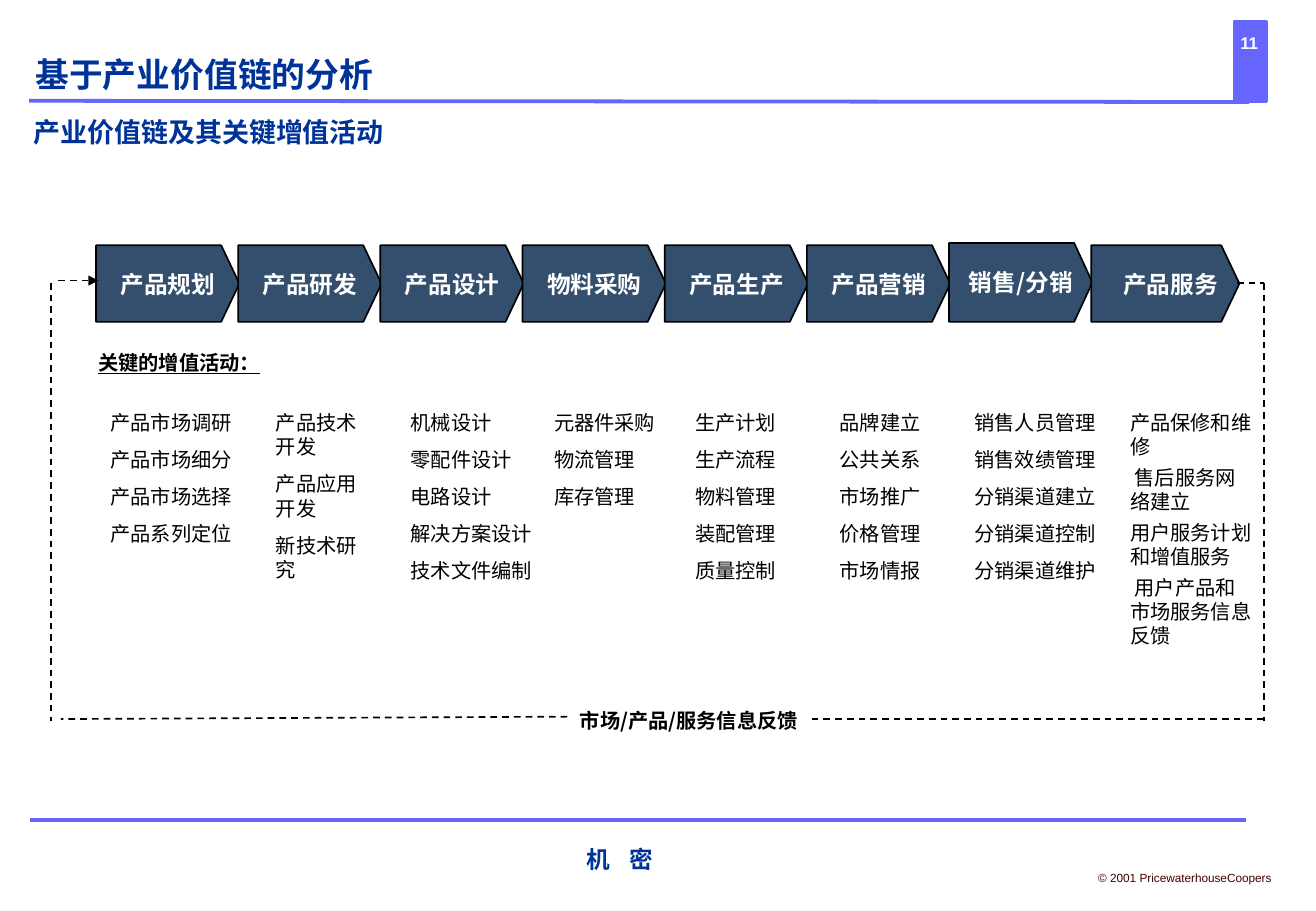
"""Build the industry value chain slide with its key value-adding activities."""
from lxml import etree
from pptx import Presentation
from pptx.dml.color import RGBColor
from pptx.enum.dml import MSO_LINE
from pptx.enum.shapes import MSO_CONNECTOR, MSO_SHAPE
from pptx.enum.text import MSO_ANCHOR, PP_ALIGN
from pptx.oxml.ns import qn
from pptx.util import Inches, Pt

LEFT, CENTER = PP_ALIGN.LEFT, PP_ALIGN.CENTER
TOP, MIDDLE, BOTTOM = MSO_ANCHOR.TOP, MSO_ANCHOR.MIDDLE, MSO_ANCHOR.BOTTOM
RECT, PENTAGON = MSO_SHAPE.RECTANGLE, MSO_SHAPE.PENTAGON
STRAIGHT, DASH = MSO_CONNECTOR.STRAIGHT, MSO_LINE.DASH

COLORS = {"accent": "6666FF", "title": "003399", "stage": "334F6D",
          "ink": "000000", "paper": "FFFFFF", "copyright": "440000"}
CJK, LATIN = "Noto Sans CJK SC", "Arial"

TITLE = "基于产业价值链的分析"
SUBTITLE = "产业价值链及其关键增值活动"
HEADING = "关键的增值活动："
FEEDBACK = "市场/产品/服务信息反馈"
CONFIDENTIAL = "机 密"
COPYRIGHT = "© 2001 PricewaterhouseCoopers"
PAGE = "11"

# name, activities, offset of the list from its stage, list width
STAGES = [
    ("产品规划", ["产品市场调研", "产品市场细分", "产品市场选择", "产品系列定位"], -0.09, 1.72),
    ("产品研发", ["产品技术开发", "产品应用开发", "新技术研究"], 0.1, 1.09),
    ("产品设计", ["机械设计", "零配件设计", "电路设计", "解决方案设计", "技术文件编制"], 0.04, 1.43),
    ("物料采购", ["元器件采购", "物流管理", "库存管理"], 0.05, 1.24),
    ("产品生产", ["生产计划", "生产流程", "物料管理", "装配管理", "质量控制"], 0.04, 1.05),
    ("产品营销", ["品牌建立", "公共关系", "市场推广", "价格管理", "市场情报"], 0.06, 1.3),
    ("销售/分销", ["销售人员管理", "销售效绩管理", "分销渠道建立", "分销渠道控制", "分销渠道维护"], 0, 1.6),
    ("产品服务", ["产品保修和维修", " 售后服务网络建立", "用户服务计划和增值服务",
              " 用户产品和市场服务信息反馈"], 0.12, 1.3),
]
CHAIN_X, CHAIN_Y, PITCH = 0.79, 2.02, 1.17
STAGE_W, STAGE_H, POINT = 1.18, 0.63, 0.15
LIST_Y, LIST_H = 3.33, 1.52
LOOP_L, LOOP_R, LOOP_T, LOOP_B = 0.42, 10.4, 2.33, 5.92

# start x, start y, end x, end y, arrow at the end
LOOP = [
    (10.18, LOOP_T, LOOP_R, LOOP_T, False),
    (LOOP_R, LOOP_T, LOOP_R, LOOP_B + 0.02, False),
    (4.67, LOOP_B - 0.02, 0.5, LOOP_B, False),
    (0.48, LOOP_T - 0.02, CHAIN_X + 0.02, LOOP_T - 0.02, True),
    (LOOP_L, LOOP_T, LOOP_L, LOOP_B + 0.02, False),
    (LOOP_R, LOOP_B, 6.66, LOOP_B, False),
]


def rgb(name):
    return RGBColor.from_string(COLORS[name])


def write(sp, lines, size, color, font=CJK, bold=True, align=LEFT, anchor=MIDDLE,
          insets=(0, 0, 0, 0), wrap=True, gap=0, underline=False):
    tf = sp.text_frame
    tf.word_wrap, tf.vertical_anchor = wrap, anchor
    tf.margin_left, tf.margin_top, tf.margin_right, tf.margin_bottom = map(Inches, insets)
    for i, line in enumerate(lines):
        p = tf.paragraphs[0] if i == 0 else tf.add_paragraph()
        p.add_run().text = line
        p.alignment = align
        if i:
            p.space_before = Pt(gap)
        p.font.size, p.font.bold, p.font.name = Pt(size), bold, font
        p.font.color.rgb = rgb(color)
        if underline:
            p.font.underline = True
        latin = p._p.pPr.find(qn("a:defRPr")).find(qn("a:latin"))
        east = etree.Element(qn("a:ea"), typeface=font)
        latin.addnext(east)
    return tf


def text(slide, box, lines, size, color, **style):
    sp = slide.shapes.add_textbox(*map(Inches, box))
    return write(sp, lines, size, color, **style)


def shape(slide, kind, box, fill, line, width):
    sp = slide.shapes.add_shape(kind, *map(Inches, box))
    sp.shadow.inherit = False
    sp.fill.solid()
    sp.fill.fore_color.rgb = rgb(fill)
    sp.line.color.rgb, sp.line.width = rgb(line), Pt(width)
    return sp


def rule(slide, ends, color, width, dashed=False, arrow=False):
    cx = slide.shapes.add_connector(STRAIGHT, *map(Inches, ends))
    cx.line.color.rgb, cx.line.width = rgb(color), Pt(width)
    if dashed:
        cx.line.dash_style = DASH
    if arrow:
        etree.SubElement(cx.line._get_or_add_ln(), qn("a:tailEnd"), type="triangle")
    etree.SubElement(cx._element.spPr, qn("a:effectLst"))


def draw_frame(slide):
    shape(slide, RECT, (10.16, 0.18, 0.26, 0.65), "accent", "accent", 2.25)
    rule(slide, (0.24, 0.83, 10.28, 0.84), "accent", 2.25)
    rule(slide, (0.25, 6.75, 10.25, 6.75), "accent", 2.25)
    text(slide, (9.93, 0.25, 0.7, 0.2), [PAGE], 10, "paper", font=LATIN, align=CENTER)
    text(slide, (8.94, 7.12, 1.62, 0.22), [COPYRIGHT], 7, "copyright", font=LATIN,
         bold=False, align=CENTER, wrap=False)
    tf = text(slide, (4.74, 6.9, 0.72, 0.34), [CONFIDENTIAL], 14, "title", font=LATIN,
              align=CENTER, wrap=False)
    tf.paragraphs[0].runs[0]._r.get_or_add_rPr().set("spc", "390")
    text(slide, (0.29, 0.18, 9.71, 0.6), [TITLE], 20, "title", anchor=BOTTOM)
    text(slide, (0.28, 0.75, 10.03, 0.47), [SUBTITLE], 16, "title", anchor=BOTTOM)


def draw_chain(slide):
    for i, (name, activities, offset, width) in enumerate(STAGES):
        x = CHAIN_X + PITCH * i
        last = i == len(STAGES) - 1
        rise = 0.02 if "/" in name else 0
        box = (x, CHAIN_Y - rise, STAGE_W + 0.04 * last, STAGE_H + rise)
        sp = shape(slide, PENTAGON, box, "stage", "ink", 1)
        sp.adjustments[0] = POINT / (STAGE_H + rise)
        write(sp, [name], 14, "paper", align=CENTER, wrap=False,
              insets=(0.18 if last else 0.1, 0.05, 0.02, 0.05))
        text(slide, (x + offset, LIST_Y, width, LIST_H), activities, 12, "ink", bold=False,
             anchor=TOP, insets=(0.2 if last else 0.21, 0.05, 0.1, 0.05),
             gap=3.7 if last else 7.5)


def main():
    prs = Presentation()
    prs.slide_width, prs.slide_height = Inches(10.83), Inches(7.5)
    slide = prs.slides.add_slide(prs.slide_layouts[6])
    draw_frame(slide)
    label = shape(slide, RECT, (4.59, 5.79, 2.16, 0.28), "paper", "paper", 1)
    write(label, [FEEDBACK], 12, "ink", align=CENTER, insets=(0.1, 0.05, 0.1, 0.05))
    draw_chain(slide)
    text(slide, (0.71, 2.84, 2.29, 0.28), [HEADING], 12, "ink", underline=True,
         insets=(0.1, 0.05, 0.1, 0.05))
    for *ends, arrow in LOOP:
        rule(slide, ends, "ink", 1, dashed=True, arrow=arrow)
    prs.save("out.pptx")


if __name__ == "__main__":
    main()
